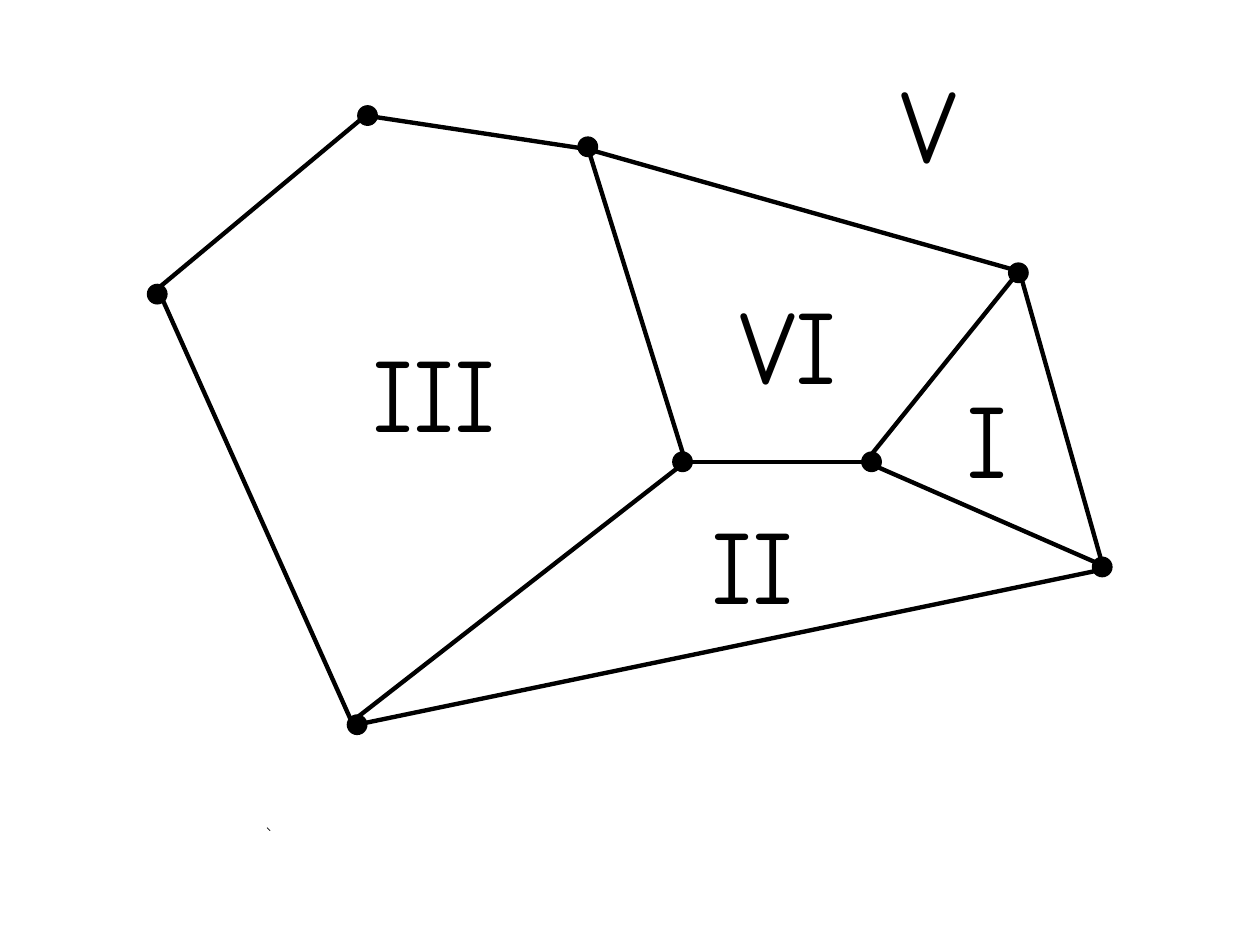
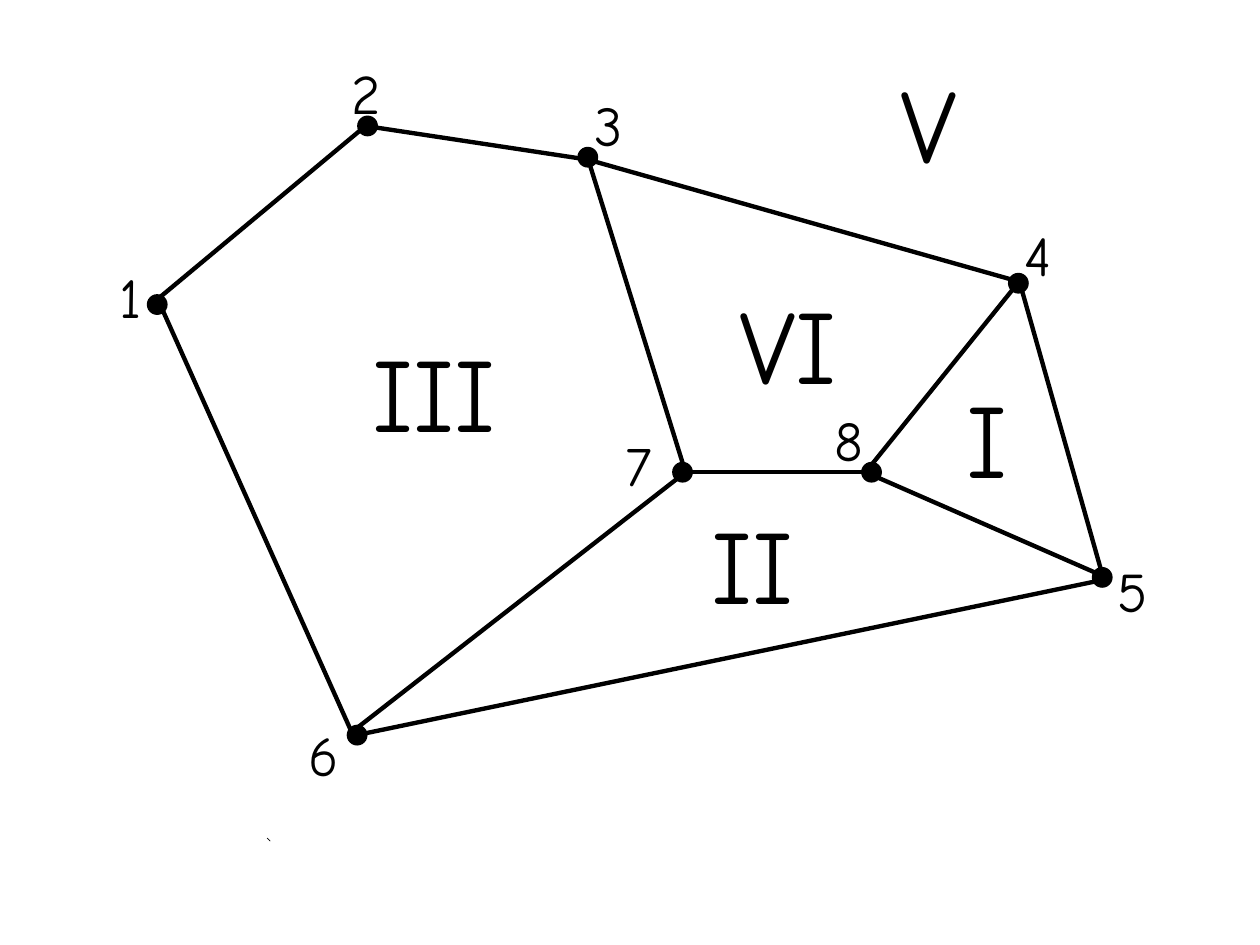
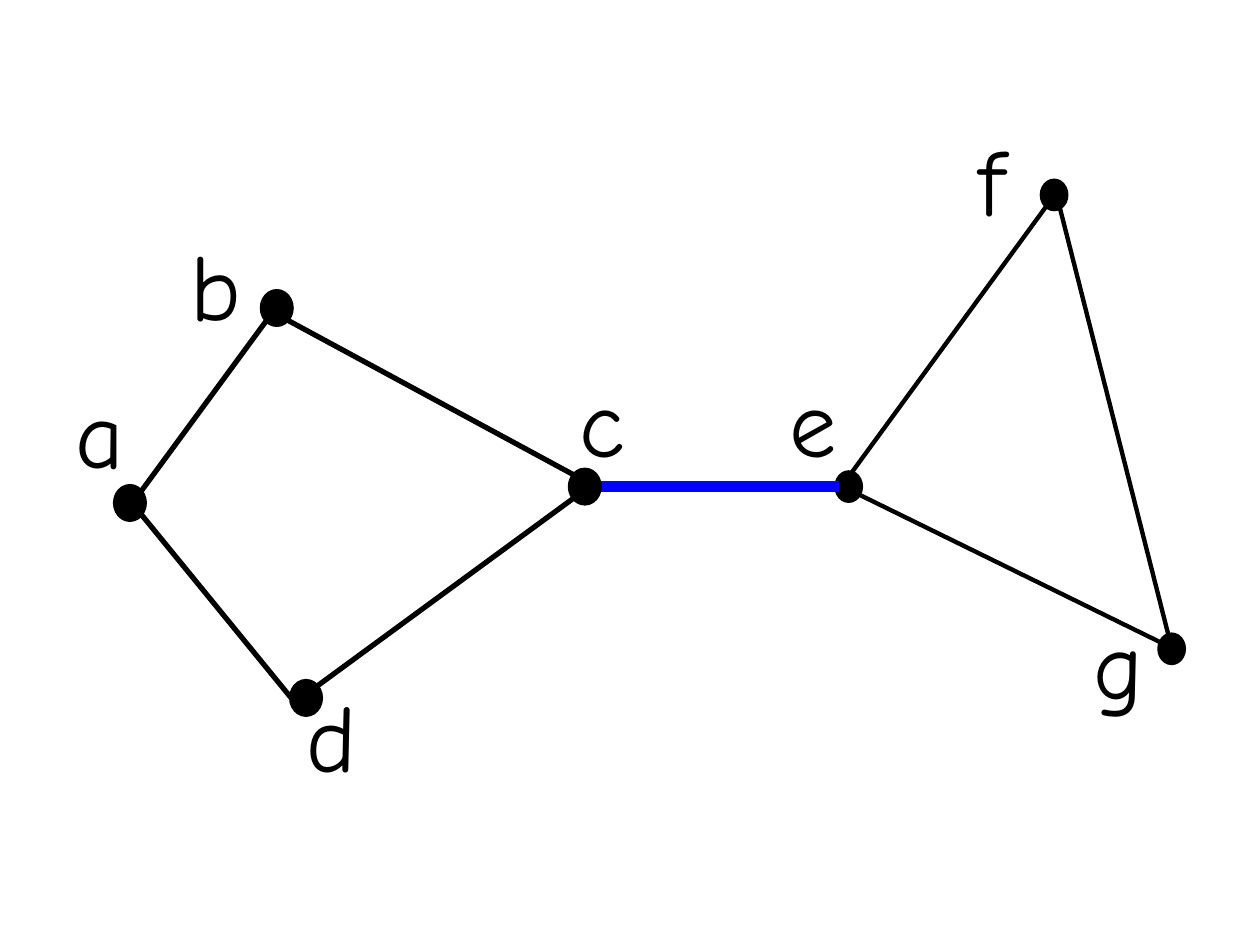
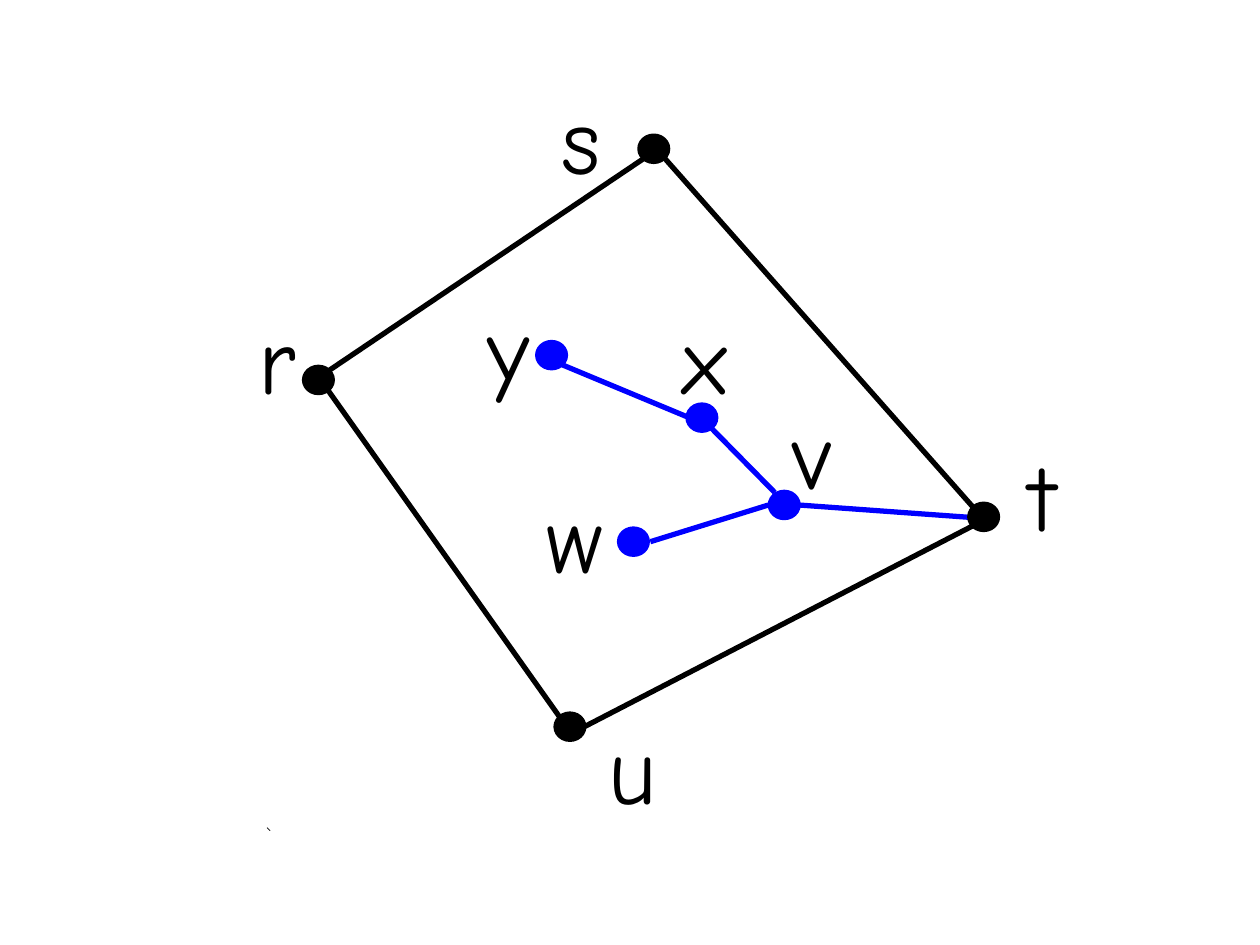
from dataclasses import dataclass

from lxml import etree
from pptx import Presentation
from pptx.dml.color import RGBColor
from pptx.enum.shapes import MSO_CONNECTOR, MSO_SHAPE
from pptx.enum.text import MSO_AUTO_SIZE
from pptx.oxml.ns import qn
from pptx.util import Cm, Pt

STRAIGHT = MSO_CONNECTOR.STRAIGHT
OVAL = MSO_SHAPE.OVAL
FIT = MSO_AUTO_SIZE.SHAPE_TO_FIT_TEXT


@dataclass(frozen=True)
class Theme:
    font: str = "Comic Neue"
    black: RGBColor = RGBColor(0, 0, 0)
    blue: RGBColor = RGBColor(0, 0, 255)
    digit: int = 32
    letter: int = 54
    roman: int = 60
    thin: float = 2.5
    mid: float = 3
    thick: float = 6


@dataclass
class Net:
    """Paths and the dots on them; two points make an edge, more a closed face."""
    paths: list
    dots: list
    size: tuple = (0, 0)
    ink: RGBColor = Theme.black
    weight: float = Theme.thin
    rim: bool = False


@dataclass
class Tags:
    """Labels as (text, left, top, width) in one type size."""
    size: int
    high: float
    items: list
    wrap: bool = False


def draw_net(slide, net, drop):
    """Draw a net, moved down by drop centimetres."""
    for path in net.paths:
        points = [(Cm(x), Cm(y + drop)) for x, y in path]
        if len(points) == 2:
            shape = slide.shapes.add_connector(STRAIGHT, *points[0], *points[1])
            etree.SubElement(shape._element.spPr, qn("a:effectLst"))
        else:
            pen = slide.shapes.build_freeform(*points[0], scale=1.0)
            pen.add_line_segments(points[1:], close=True)
            shape = pen.convert_to_shape()
            shape.fill.background()
            shape.shadow.inherit = False
        shape.line.color.rgb = net.ink
        shape.line.width = Pt(net.weight)
    wide, high = net.size
    for x, y in net.dots:
        dot = slide.shapes.add_shape(
            OVAL, Cm(x - wide / 2), Cm(y + drop - high / 2), Cm(wide), Cm(high))
        dot.shadow.inherit = False
        dot.fill.solid()
        dot.fill.fore_color.rgb = net.ink
        if net.rim:
            dot.line.color.rgb = net.ink
            dot.line.width = Pt(net.weight)
        else:
            dot.line.fill.background()


def draw_tags(slide, tags):
    for text, x, y, wide in tags.items:
        box = slide.shapes.add_textbox(Cm(x), Cm(y), Cm(wide), Cm(tags.high))
        frame = box.text_frame
        frame.text = text
        frame.word_wrap = tags.wrap
        frame.auto_size = FIT
        font = frame.paragraphs[0].runs[0].font
        font.name = Theme.font
        font.size = Pt(tags.size)
        font.color.rgb = Theme.black


speck = Net([[(5.41, 16.72), (5.42, 16.71)]], [])

# Map of regions, with and without numbered corners
region = Net(
    [
        [(3.18, 5.82), (7.37, 2.33), (11.86, 3.01), (13.82, 9.31), (7.09, 14.55)],
        [(17.45, 9.31), (20.55, 5.46), (22.23, 11.4)],
        [(13.87, 9.31), (17.4, 9.31)],
        [(11.86, 3.01), (20.55, 5.47)],
        [(7.09, 14.63), (22.23, 11.48)],
    ],
    [(3.17, 5.93), (7.41, 2.33), (11.85, 2.96), (13.76, 9.31),
     (7.2, 14.61), (22.22, 11.43), (17.57, 9.31), (20.53, 5.5)],
    (0.42, 0.42))
romans = Tags(Theme.roman, 2.79, [
    ("III", 7.26, 6.48, 3.02), ("VI", 14.65, 5.51, 2.54), ("I", 19.23, 7.41, 1.32),
    ("II", 14.1, 9.95, 2.16), ("V", 17.91, 1.06, 1.63)])
digits = Tags(Theme.digit, 1.63, [
    ("1", 2.16, 5.16, 0.94), ("2", 6.83, 1.06, 1.09), ("3", 11.73, 1.7, 1.07),
    ("4", 20.4, 4.32, 1.04), ("5", 22.27, 11.1, 1.12), ("8", 16.57, 8.05, 1.09),
    ("7", 12.37, 8.56, 1.04), ("6", 5.97, 14.4, 1.12)])

# Two cycles joined by a bridge
cycle = Net(
    [[(16.97, 9.8), (21.29, 3.89), (23.62, 13.06)]],
    [(23.62, 13.08), (21.25, 3.93), (17.11, 9.81)],
    (0.58, 0.66))
bridge = Net([[(11.99, 9.81), (16.92, 9.81)]], [], ink=Theme.blue, weight=Theme.thick)
kite = Net(
    [
        [(6.38, 13.84), (11.58, 10.03)],
        [(2.84, 9.91), (5.38, 6.45)],
        [(2.84, 10.36), (5.87, 14.07)],
        [(5.79, 6.45), (11.58, 9.58)],
    ],
    [(5.58, 6.21), (11.79, 9.81), (2.62, 10.14), (6.17, 14.07)],
    (0.58, 0.66), weight=Theme.mid, rim=True)
spots = [("a", 1.27, 7.42), ("d", 5.92, 13.54), ("b", 3.6, 4.45), ("c", 11.43, 7.19),
         ("g", 21.79, 12.07), ("f", 19.47, 2.34), ("e", 15.66, 7.19)]
names = Tags(Theme.letter, 2.54, [(*spot, 1.7) for spot in spots], wrap=True)

# Tree inside a cycle
tree = Net(
    [
        [(13.87, 8.41), (11.3, 7.34)],
        [(16.1, 10.18), (19.56, 10.43)],
        [(15.49, 10.18), (13.11, 10.92)],
        [(15.62, 9.93), (14.35, 8.64)],
    ],
    [(11.12, 7.16), (12.77, 10.92), (14.15, 8.42), (15.81, 10.18)],
    (0.56, 0.51), Theme.blue, Theme.mid, True)
ring = Net(
    [
        [(6.6, 7.85), (11.3, 14.48)],
        [(11.76, 14.66), (19.63, 10.59)],
        [(6.6, 7.49), (13, 3.18)],
        [(13.39, 3.18), (19.63, 10.24)],
    ],
    [(6.42, 7.66), (13.18, 3), (19.83, 10.42), (11.49, 14.65)],
    (0.56, 0.51), weight=Theme.mid, rim=True)
letters = Tags(Theme.letter, 2.54, [
    ("r", 4.97, 5.92, 1.27), ("t", 20.5, 8.69, 1.04), ("s", 11.07, 1.48, 1.3),
    ("u", 12.01, 14.18, 1.47), ("y", 9.58, 5.72, 1.35), ("x", 13.51, 5.92, 1.4),
    ("w", 10.77, 9.53, 1.65), ("v", 15.72, 7.83, 1.3)])

# Each page: nets from back to front, their drop, labels
pages = [
    ([speck, region], 0, [romans]),
    ([speck, region], 0.21, [digits, romans]),
    ([cycle, bridge, kite], 0, [names]),
    ([speck, tree, ring], 0, [letters]),
]

deck = Presentation()
deck.slide_width, deck.slide_height = Cm(25.4), Cm(19.05)
blank = deck.slide_layouts[6]
for nets, drop, labels in pages:
    slide = deck.slides.add_slide(blank)
    for net in nets:
        draw_net(slide, net, drop)
    for tags in labels:
        draw_tags(slide, tags)
deck.save("out.pptx")
